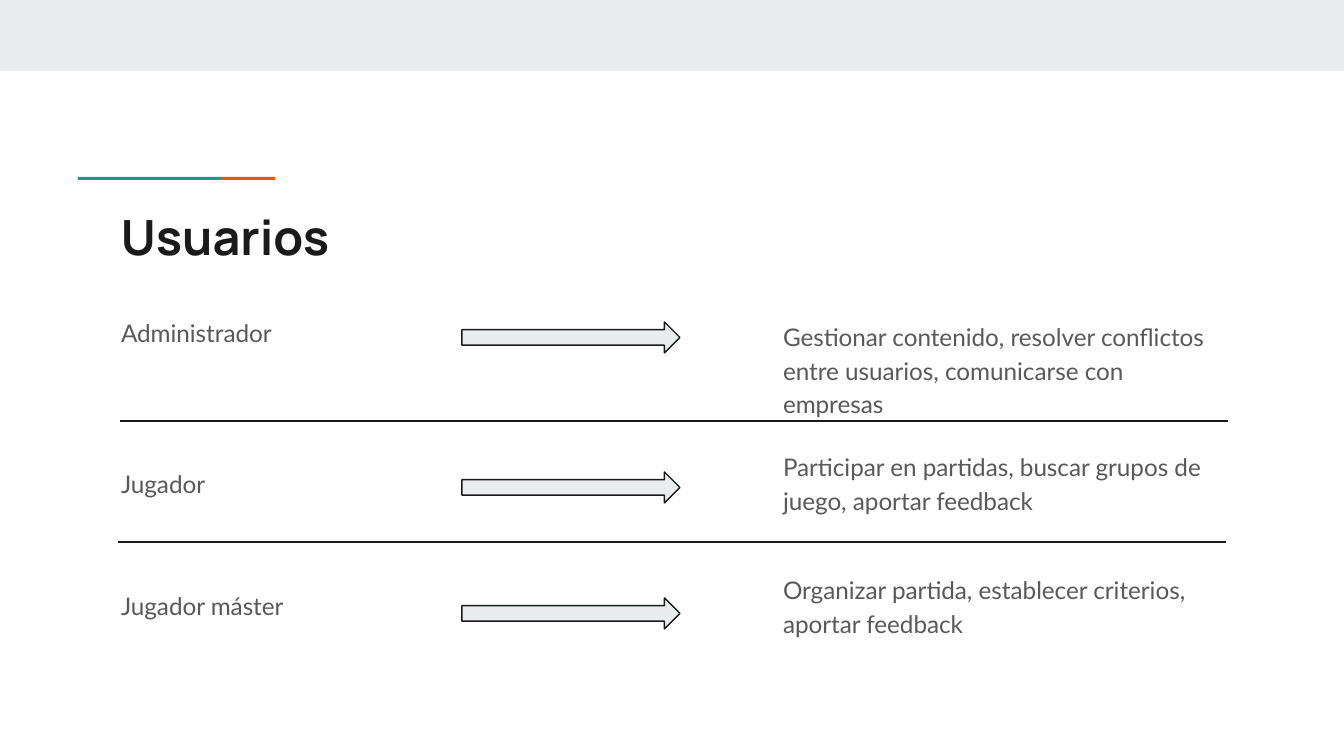
from dataclasses import dataclass

from pptx import Presentation
from pptx.dml.color import RGBColor
from pptx.enum.shapes import MSO_CONNECTOR, MSO_SHAPE
from pptx.enum.text import MSO_ANCHOR
from pptx.oxml.ns import qn
from pptx.util import Emu, Pt
from lxml.etree import SubElement

SCALE = 914400 / 134.4


@dataclass(frozen=True)
class Theme:
    """Colours, fonts and sizes of the slide."""
    pale: str = "E9EDEE"
    teal: str = "1A9988"
    orange: str = "EB5600"
    ink: str = "1A1A1A"
    grey: str = "595959"
    head: str = "Manrope"
    body: str = "Lato"
    large: int = 26
    small: int = 13
    stroke: float = 0.75


THEME = Theme()

ROLES = [
    ("Administrador", 305, 322, 305,
     "Gestionar contenido, resolver conflictos entre usuarios, comunicarse con empresas"),
    ("Jugador", 456, 472, 435,
     "Participar en partidas, buscar grupos de juego, aportar feedback"),
    ("Jugador máster", 578, 598, 558,
     "Organizar partida, establecer criterios, aportar feedback"),
]
RULES = [(120, 1228, 421), (118, 1226, 542)]


def px(count):
    """Turn pixels into EMU."""
    return Emu(round(count * SCALE))


def tint(code):
    """Turn a hex code into a colour."""
    return RGBColor.from_string(code)


def add_block(slide, kind, box, fill, line=None):
    """Add a filled preset shape, with an outline if one is named."""
    shape = slide.shapes.add_shape(kind, *map(px, box))
    shape.shadow.inherit = False
    shape.fill.solid()
    shape.fill.fore_color.rgb = tint(fill)
    if line:
        shape.line.color.rgb = tint(line)
        shape.line.width = Pt(THEME.stroke)
    else:
        shape.line.fill.background()


def add_text(slide, words, box, font, size, color, bold=False, space=1.0):
    """Add a wrapped text box holding one paragraph."""
    frame = slide.shapes.add_textbox(*map(px, box)).text_frame
    frame.word_wrap = True
    frame.vertical_anchor = MSO_ANCHOR.TOP
    frame.margin_left = frame.margin_right = px(13)
    frame.margin_top = frame.margin_bottom = px(13)
    para = frame.paragraphs[0]
    para.line_spacing = space
    run = para.add_run()
    run.text = words
    run.font.name = font
    run.font.size = Pt(size)
    run.font.bold = bold
    run.font.color.rgb = tint(color)


def add_rule(slide, left, right, top):
    """Add a level line between two roles."""
    rule = slide.shapes.add_connector(
        MSO_CONNECTOR.STRAIGHT, px(left), px(top), px(right), px(top))
    rule.line.color.rgb = tint(THEME.ink)
    rule.line.width = Pt(THEME.stroke)
    SubElement(rule._element.spPr, qn("a:effectLst"))


def add_role(slide, name, top, mid, high, task):
    """Add a role, its arrow and its tasks."""
    style = (THEME.body, THEME.small, THEME.grey)
    add_text(slide, name, (108, top, 468, 56), *style)
    add_text(slide, task, (770, high, 468, 128), *style, space=1.15)
    add_block(slide, MSO_SHAPE.RIGHT_ARROW, (462, mid, 218, 31),
              THEME.pale, THEME.ink)


def main():
    """Build and save the slide."""
    deck = Presentation()
    deck.slide_width, deck.slide_height = px(1344), px(756)
    slide = deck.slides.add_slide(deck.slide_layouts[6])
    for box, fill in (
        ((0, 0, 1344, 71), THEME.pale),
        ((78, 177, 143, 3), THEME.teal),
        ((221, 177, 54, 3), THEME.orange),
    ):
        add_block(slide, MSO_SHAPE.RECTANGLE, box, fill)
    add_text(slide, "Usuarios", (108, 194, 1130, 79),
             THEME.head, THEME.large, THEME.ink, bold=True)
    for role in ROLES:
        add_role(slide, *role)
    for rule in RULES:
        add_rule(slide, *rule)
    deck.save("out.pptx")


if __name__ == "__main__":
    main()
